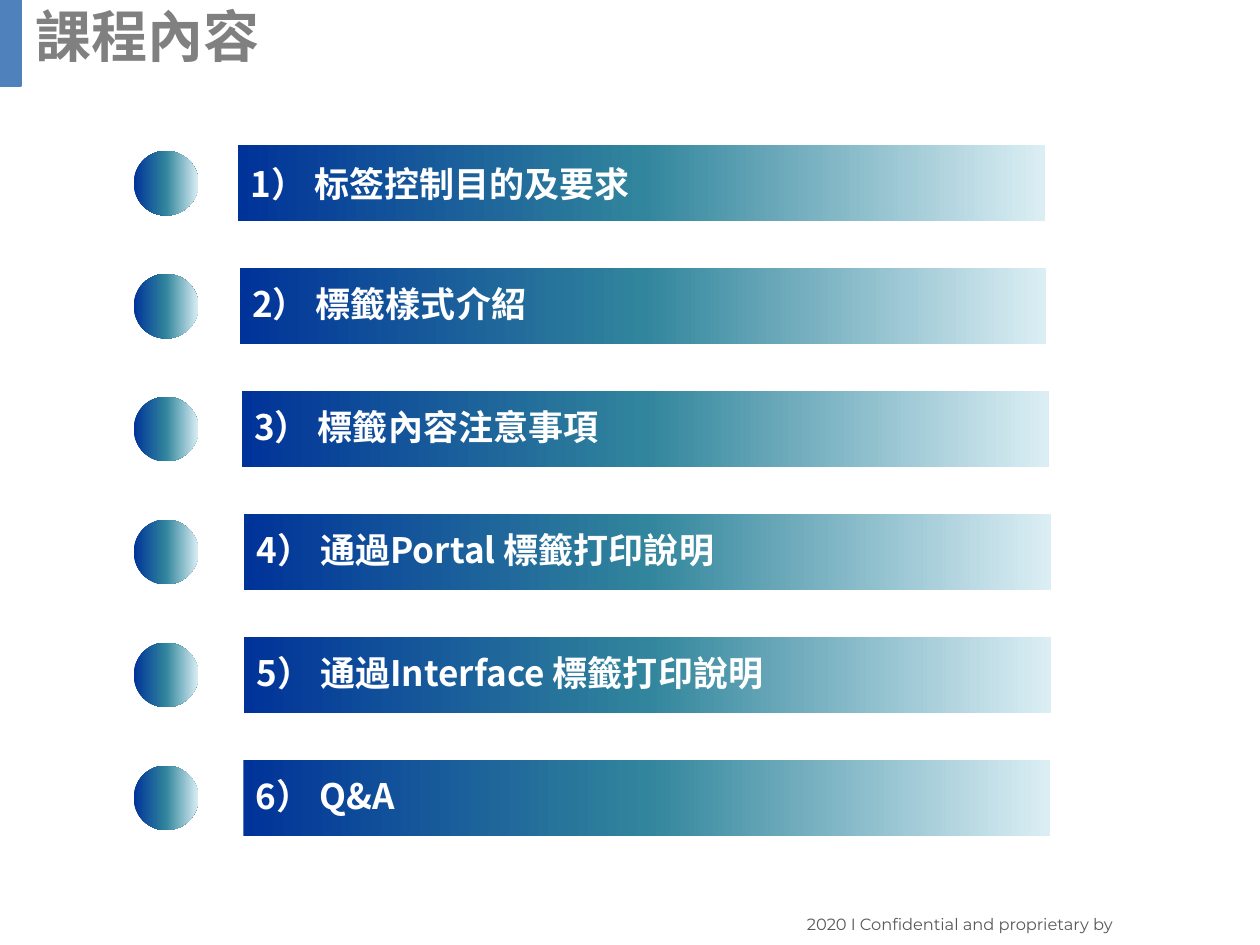
"""Build the course contents slide."""
import copy
import dataclasses

import lxml.etree
import pptx
import pptx.dml.color
import pptx.enum.shapes
import pptx.enum.text
import pptx.oxml.ns
import pptx.util

Pt = pptx.util.Pt
RGB = pptx.dml.color.RGBColor.from_string
SHAPE = pptx.enum.shapes.MSO_SHAPE
ALIGN = pptx.enum.text.PP_ALIGN
ANCHOR = pptx.enum.text.MSO_ANCHOR
qn = pptx.oxml.ns.qn


@dataclasses.dataclass(frozen=True)
class Theme:
    accent: str = "4F81BD"
    title: str = "808080"
    footer: str = "595959"
    item: str = "FFFFFF"
    gradient: tuple = ("003399", "31859C", "DBEEF4")
    title_size: float = 32
    item_size: float = 20
    footer_size: float = 9.3
    heading_font: str = "Montserrat"
    item_font: str = "Noto Sans CJK SC"


class SlideBuilder:
    def __init__(self, slide, theme):
        self.slide = slide
        self.theme = theme

    def shape(self, kind, box):
        sp = self.slide.shapes.add_shape(kind, *map(Pt, box))
        sp.shadow.inherit = False
        return sp

    def accent(self, box):
        sp = self.shape(SHAPE.RECTANGLE, box)
        sp.fill.solid()
        sp.fill.fore_color.rgb = RGB(self.theme.accent)
        sp.line.color.rgb = RGB(self.theme.accent)
        sp.line.width = Pt(2)

    def gradient_shape(self, kind, box):
        sp = self.shape(kind, box)
        sp.line.fill.background()
        sp.fill.gradient()
        sp.fill.gradient_angle = 0
        first = sp._element.spPr.find(".//" + qn("a:gs"))
        first.addnext(copy.deepcopy(first))
        colors = self.theme.gradient
        for i, (stop, color) in enumerate(zip(sp.fill.gradient_stops, colors)):
            stop.position = i / (len(colors) - 1)
            stop.color.rgb = RGB(color)
        return sp

    def set_text(self, sp, text, size, color, font, bold=False, align=ALIGN.LEFT):
        tf = sp.text_frame
        tf.word_wrap = True
        p = tf.paragraphs[0]
        p.text = text
        p.alignment = align
        p.font.size = Pt(size)
        p.font.bold = bold
        p.font.name = font
        p.font.color.rgb = RGB(color)
        props = p._p.pPr.find(qn("a:defRPr"))
        lxml.etree.SubElement(props, qn("a:ea"), typeface=font)
        return p

    def text(self, box, text, size, color, **style):
        sp = self.slide.shapes.add_textbox(*map(Pt, box))
        self.set_text(sp, text, size, color, self.theme.heading_font, **style)

    def bar(self, box, text, spacing):
        sp = self.gradient_shape(SHAPE.RECTANGLE, box)
        sp.text_frame.vertical_anchor = ANCHOR.MIDDLE
        p = self.set_text(sp, text, self.theme.item_size, self.theme.item,
                          self.theme.item_font, bold=True)
        p.line_spacing = spacing

    def bullet(self, box):
        self.gradient_shape(SHAPE.OVAL, box)


ITEMS = [
    (136.1, "1） 标签控制目的及要求"),
    (137, "2） 標籤樣式介紹"),
    (138.2, "3） 標籤內容注意事項"),
    (139.5, "4） 通過Portal 標籤打印說明"),
    (139.5, "5） 通過Interface 標籤打印說明"),
    (139, "6） Q&A"),
]
TOP, PITCH = 82.8, 70.25
BAR_WIDTH, BAR_HEIGHT = 461, 43.8
BULLET_LEFT, BULLET_SIZE = 76.4, 37


def main():
    prs = pptx.Presentation()
    prs.slide_width, prs.slide_height = Pt(720), Pt(540)
    theme = Theme()
    s = SlideBuilder(prs.slides.add_slide(prs.slide_layouts[6]), theme)

    s.accent((0, 0, 11.3, 49))
    s.text((418.3, 519.1, 224.6, 18.7), "2020 I Confidential and proprietary by",
           theme.footer_size, theme.footer, align=ALIGN.RIGHT)
    s.text((13, -2.9, 707, 46), "課程內容", theme.title_size, theme.title, bold=True)

    for i, (left, label) in enumerate(ITEMS):
        top = TOP + i * PITCH
        s.bar((left, top, BAR_WIDTH, BAR_HEIGHT), label, 0.9 if i else 1.0)
        s.bullet((BULLET_LEFT, top + (BAR_HEIGHT - BULLET_SIZE) / 2,
                  BULLET_SIZE, BULLET_SIZE))

    prs.save("out.pptx")


if __name__ == "__main__":
    main()
